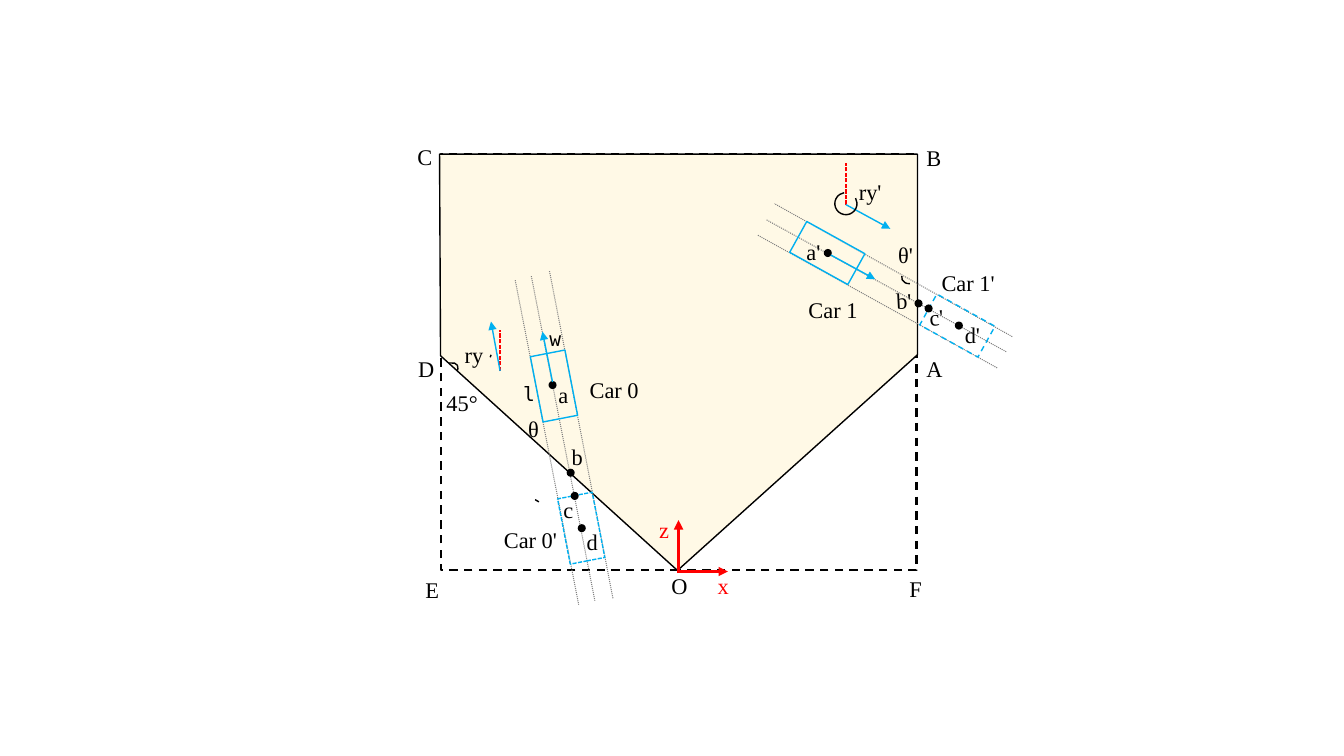
from lxml import etree
from pptx import Presentation
from pptx import util as u
from pptx.dml.color import RGBColor
from pptx.enum import dml, shapes, text
from pptx.oxml.ns import qn

BLACK, RED, BLUE, GREY, CREAM = "000000", "FF0000", "00B0F0", "808080", "FFF9E6"
DASH = dml.MSO_LINE.DASH
SHORT = dml.MSO_LINE.SQUARE_DOT
DOTS = dml.MSO_LINE.ROUND_DOT
KIND = shapes.MSO_SHAPE


def cm(inch):
    return u.Cm(inch * 2.54)


def color(code):
    return RGBColor.from_string(code)


def stroke(line, code, width, dash=None):
    line.color.rgb = color(code)
    line.width = u.Pt(width)
    if dash is not None:
        line.dash_style = dash


def paint(shape, fill=None, line=None, width=1, dash=None):
    shape.shadow.inherit = False
    if fill:
        shape.fill.solid()
        shape.fill.fore_color.rgb = color(fill)
    else:
        shape.fill.background()
    if line:
        stroke(shape.line, line, width, dash)
    else:
        shape.line.fill.background()


def block(art, kind, x, y, w, h, turn=0, **look):
    shape = art.add_shape(kind, cm(x), cm(y), cm(w), cm(h))
    shape.rotation = turn
    paint(shape, **look)
    return shape


def dot(art, x, y):
    size = 0.08
    block(art, KIND.OVAL, x - size / 2, y - size / 2, size, size, fill=BLACK)


def arc(art, x, y, w, h, turn, start, end):
    shape = block(art, KIND.ARC, x, y, w, h, turn, line=BLACK)
    # Arc angles are stored in 60000ths, adjustments in 100000ths
    shape.adjustments[0] = start * 0.6
    shape.adjustments[1] = end * 0.6


def rule(art, start, end, code, width=1, dash=None, arrow=False):
    line = art.add_connector(shapes.MSO_CONNECTOR.STRAIGHT,
                             cm(start[0]), cm(start[1]), cm(end[0]), cm(end[1]))
    stroke(line.line, code, width, dash)
    if arrow:
        etree.SubElement(line.line._get_or_add_ln(), qn("a:tailEnd"), type="triangle")
    etree.SubElement(line._element.spPr, qn("a:effectLst"))


def label(art, words, x, y, w, h=0.37, size=16, font="Times New Roman",
          code=BLACK, turn=0):
    box = art.add_textbox(cm(x), cm(y), cm(w), cm(h))
    box.rotation = turn
    frame = box.text_frame
    frame.word_wrap = False
    frame.auto_size = text.MSO_AUTO_SIZE.SHAPE_TO_FIT_TEXT
    run = frame.paragraphs[0].add_run()
    run.text = words
    run.font.size = u.Pt(size)
    run.font.name = font
    run.font.color.rgb = color(code)


def zone(art):
    # Dashed frame and the visible region OABCD
    block(art, KIND.RECTANGLE, 4.37, 1.53, 4.72, 4.13,
          line=BLACK, width=1.5, dash=DASH)
    edge = [(cm(x), cm(y)) for x, y in
            [(4.36, 1.53), (9.1, 1.53), (9.1, 3.52), (6.72, 5.66), (4.37, 3.53)]]
    form = art.build_freeform(*edge[0])
    form.add_line_segments(edge[1:], close=True)
    paint(form.convert_to_shape(), fill=CREAM, line=BLACK)

    # Axes
    rule(art, (6.71, 5.67), (7.22, 5.67), RED, 2.25, arrow=True)
    rule(art, (6.73, 5.67), (6.73, 5.16), RED, 2.25, arrow=True)
    label(art, "x", 7.02, 5.63, 0.31, code=RED)
    label(art, "z", 6.44, 5.07, 0.3, code=RED)

    # Corners
    for spot in [("O", 6.56, 5.63, 0.36), ("F", 8.92, 5.66, 0.32),
                 ("A", 9.09, 3.47, 0.36), ("B", 9.09, 1.38, 0.35),
                 ("C", 4.04, 1.37, 0.35), ("D", 4.05, 3.47, 0.36),
                 ("E", 4.12, 5.67, 0.34)]:
        label(art, *spot)


def car(art, turn, lanes, solid, ghost, dash, dots, head):
    # Lane lines, car, shifted car, key points and heading
    for start, end in lanes:
        rule(art, start, end, GREY, 0.75, DOTS)
    block(art, KIND.RECTANGLE, *solid, 0.35, 0.66, turn, line=BLUE)
    block(art, KIND.RECTANGLE, *ghost, 0.35, 0.66, turn, line=BLUE, dash=dash)
    for spot in dots:
        dot(art, *spot)
    rule(art, *head, BLUE, arrow=True)


def yaw(art, foot, top, tip):
    # Reference line and heading of a yaw angle
    rule(art, foot, top, RED, dash=SHORT)
    rule(art, foot, tip, BLUE, arrow=True)


def main():
    deck = Presentation()
    deck.slide_width, deck.slide_height = cm(13.33), cm(7.5)
    slide = deck.slides.add_slide(deck.slide_layouts[6])
    art = slide.shapes.add_group_shape().shapes
    zone(art)

    # Car 1, leaving through side AB
    car(art, 119,
        [((9.89, 3.65), (7.51, 2.33)), ((10.04, 3.34), (7.68, 2.02)),
         ((9.98, 3.49), (7.6, 2.18))],
        (8.03, 2.18), (9.32, 2.9), DASH,
        [(8.21, 2.51), (9.11, 3.01), (9.21, 3.06), (9.51, 3.23)],
        ((8.24, 2.53), (8.68, 2.77)))
    yaw(art, (8.39, 2.03), (8.39, 1.62), (8.83, 2.27))
    for spot in [("Car 1'", 9.24, 2.62, 0.73), ("Car 1", 7.92, 2.89, 0.69),
                 ("a'", 7.9, 2.31, 0.34), ("d'", 9.47, 3.14, 0.35),
                 ("θ'", 8.81, 2.34, 0.35), ("ry'", 8.42, 1.72, 0.43)]:
        label(art, *spot)
    label(art, "b'", 8.79, 2.8, 0.35, turn=357)
    label(art, "c'", 9.12, 2.96, 0.34, turn=355)

    # Car 0, leaving through side OD
    car(art, 349,
        [((5.45, 2.69), (6.08, 5.94)), ((5.11, 2.78), (5.74, 6)),
         ((5.27, 2.74), (5.9, 5.96))],
        (5.32, 3.5), (5.59, 4.91), SHORT,
        [(5.48, 3.82), (5.66, 4.69), (5.7, 4.92), (5.77, 5.24)],
        ((5.48, 3.79), (5.38, 3.29)))
    yaw(art, (4.96, 3.68), (4.96, 3.27), (4.87, 3.19))
    for spot in [("Car 0", 5.75, 3.68, 0.69), ("Car 0'", 4.9, 5.17, 0.73),
                 ("a", 5.44, 3.73, 0.3), ("d", 5.72, 5.19, 0.31),
                 ("b", 5.57, 4.35, 0.31), ("c", 5.49, 4.87, 0.3),
                 ("θ", 5.14, 4.07, 0.31), ("ry", 4.51, 3.34, 0.39),
                 ("45°", 4.33, 3.81, 0.51)]:
        label(art, *spot)
    for words, x, y in [("l", 5.09, 3.74), ("w", 5.35, 3.19)]:
        label(art, words, x, y, 0.32, 0.34, size=14, font="DejaVu Sans Mono")

    # Angle marks
    for mark in [(8.94, 2.66, 0.2, 0.15, 336, 125.39, 200.92),
                 (8.28, 1.91, 0.22, 0.22, 236, 94.56, 24.92),
                 (5.18, 4.39, 0.62, 0.63, 290, 187.78, 195.83),
                 (4.87, 3.47, 0.12, 0.15, 55, 125.39, 147.45),
                 (4.35, 3.61, 0.2, 0.13, 149, 125.39, 210.56)]:
        arc(art, *mark)

    deck.save("out.pptx")


if __name__ == "__main__":
    main()
